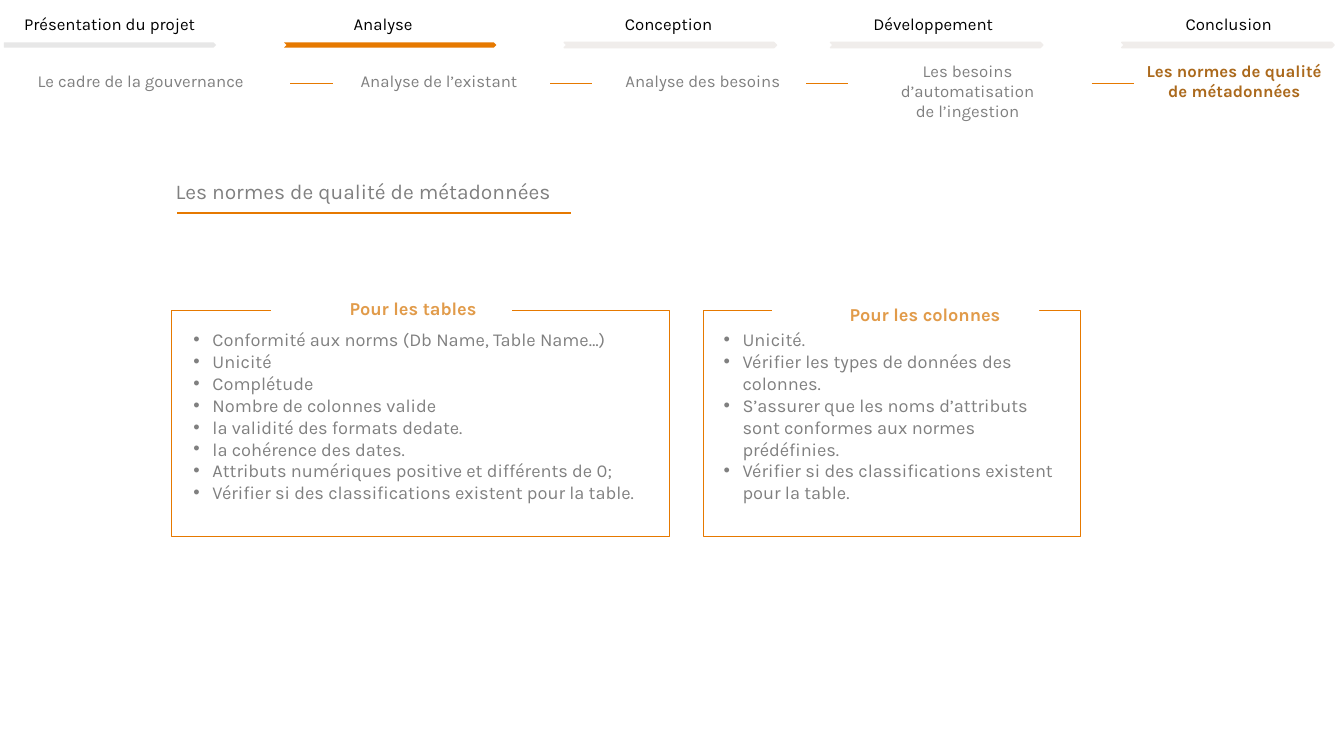
"""Build the slide on metadata quality standards."""
from dataclasses import dataclass

from lxml.etree import SubElement
from pptx import Presentation
from pptx.dml.color import RGBColor
from pptx.enum.shapes import MSO_CONNECTOR, MSO_SHAPE as Preset
from pptx.enum.text import MSO_ANCHOR as Anchor, MSO_AUTO_SIZE as AutoSize, PP_ALIGN as Align
from pptx.oxml.ns import qn
from pptx.util import Cm, Pt


@dataclass(frozen=True)
class Theme:
    font: str = "Karla"
    black: RGBColor = RGBColor(0x00, 0x00, 0x00)
    white: RGBColor = RGBColor(0xFF, 0xFF, 0xFF)
    grey: RGBColor = RGBColor(0x80, 0x80, 0x80)
    first_bar: RGBColor = RGBColor(0xE7, 0xE7, 0xE7)
    idle_bar: RGBColor = RGBColor(0xF0, 0xED, 0xEB)
    orange: RGBColor = RGBColor(0xE6, 0x79, 0x00)
    current: RGBColor = RGBColor(0xAB, 0x69, 0x1C)
    heading: RGBColor = RGBColor(0xE1, 0x9B, 0x4A)
    nav_size: Pt = Pt(12)
    body_size: Pt = Pt(13)
    title_size: Pt = Pt(15)


theme = Theme()


def write(shape, text, size, color, align=Align.CENTER, anchor=Anchor.TOP, bold=False, bullets=False):
    """Fill a shape with formatted paragraphs."""
    frame = shape.text_frame
    frame.text = text
    frame.word_wrap = True
    frame.auto_size = AutoSize.NONE
    frame.vertical_anchor = anchor
    for paragraph in frame.paragraphs:
        if bullets:
            properties = paragraph._p.get_or_add_pPr()
            properties.set("marL", str(Cm(0.48)))
            properties.set("indent", str(-Cm(0.48)))
            SubElement(properties, qn("a:buFont"), typeface="Arial")
            SubElement(properties, qn("a:buChar"), char="•")
        paragraph.alignment = align
        paragraph.space_before = Pt(0)
        for run in paragraph.runs:
            run.font.name = theme.font
            run.font.size = size
            run.font.bold = bold
            run.font.color.rgb = color


def draw_line(left, top, length, width):
    """Draw a horizontal orange line."""
    line = slide.shapes.add_connector(MSO_CONNECTOR.STRAIGHT, Cm(left), Cm(top), Cm(left + length), Cm(top))
    line.line.color.rgb = theme.orange
    line.line.width = Pt(width)
    SubElement(line._element.spPr, qn("a:effectLst"))


presentation = Presentation()
presentation.slide_width, presentation.slide_height = Cm(33.87), Cm(19.05)
slide = presentation.slides.add_slide(presentation.slide_layouts[3])
title, *lists = slide.placeholders

chapters = [
    ("Présentation du projet", 0.25, 5.03, 0.1, Preset.PENTAGON, theme.first_bar),
    ("Analyse", 7.14, 5.03, 7.16, Preset.CHEVRON, theme.orange),
    ("Conception", 13.69, 6.32, 14.22, Preset.CHEVRON, theme.idle_bar),
    ("Développement", 21.08, 4.88, 20.93, Preset.CHEVRON, theme.idle_bar),
    ("Conclusion", 28.45, 5.03, 28.27, Preset.CHEVRON, theme.idle_bar),
]
for name, left, width, bar_left, preset, color in chapters:
    bar = slide.shapes.add_shape(preset, Cm(bar_left), Cm(1.07), Cm(5.35), Cm(0.13))
    bar.shadow.inherit = False
    bar.fill.solid()
    bar.fill.fore_color.rgb = color
    if color == theme.idle_bar:
        bar.line.color.rgb = color
        bar.line.width = Pt(1)
    else:
        bar.line.fill.background()
    label = slide.shapes.add_textbox(Cm(left), Cm(0.23), Cm(width), Cm(0.76))
    write(label, name, theme.nav_size, theme.black)

for name, left, width in [
    ("Le cadre de la gouvernance", 0.25, 6.6),
    ("Analyse de l’existant", 8.03, 6.07),
    ("Analyse des besoins", 15.24, 4.95),
]:
    step = slide.shapes.add_shape(Preset.ROUNDED_RECTANGLE, Cm(left), Cm(1.68), Cm(width), Cm(0.71))
    step.shadow.inherit = False
    step.fill.background()
    step.line.fill.background()
    write(step, name, theme.nav_size, theme.grey, anchor=Anchor.MIDDLE)

for name, left, width, color, bold in [
    ("Les besoins\vd’automatisation\nde l’ingestion", 21.36, 6.05, theme.grey, False),
    ("Les normes de qualité\nde métadonnées", 28.58, 5.05, theme.current, True),
]:
    step = slide.shapes.add_textbox(Cm(left), Cm(1.41), Cm(width), Cm(1.27))
    write(step, name, theme.nav_size, color, bold=bold)

for left in (7.32, 13.87, 20.32, 27.51):
    draw_line(left, 2.11, 1.06, 0.5)

title.left, title.top, title.width, title.height = Cm(4.17), Cm(4.37), Cm(12.67), Cm(0.89)
write(title, "Les normes de qualité de métadonnées", theme.title_size, theme.grey, Align.LEFT)
draw_line(4.47, 5.36, 9.91, 1.5)

panels = [
    ("Pour les tables", (4.32, 12.55), (4.62, 12.24), (6.86, 7.29), (8.56, 7.37, 4.34), [
        "Conformité aux norms (Db Name, Table Name…)",
        "Unicité",
        "Complétude",
        "Nombre de colonnes valide",
        "la validité des formats dedate.",
        "la cohérence des dates.",
        "Attributs numériques positive et différents de 0;",
        "Vérifier si des classifications existent pour la table.",
    ]),
    ("Pour les colonnes", (17.73, 9.5), (17.98, 9.02), (19.48, 7.44), (21.16, 7.52, 5.03), [
        "Unicité.",
        "Vérifier les types de données des colonnes.",
        "S’assurer que les noms d’attributs sont conformes aux normes prédéfinies.",
        "Vérifier si des classifications existent pour la table.",
    ]),
]
for body, (heading, frame_span, list_span, gap_at, heading_at, rules) in zip(lists, panels):
    frame = slide.shapes.add_shape(Preset.RECTANGLE, Cm(frame_span[0]), Cm(7.82), Cm(frame_span[1]), Cm(5.69))
    frame.shadow.inherit = False
    frame.fill.background()
    frame.line.color.rgb = theme.orange
    frame.line.width = Pt(0.75)

    body.left, body.top, body.width, body.height = Cm(list_span[0]), Cm(8.15), Cm(list_span[1]), Cm(4.7)
    write(body, "\n".join(rules), theme.body_size, theme.grey, Align.LEFT, bullets=True)

    gap = slide.shapes.add_shape(Preset.RECTANGLE, Cm(gap_at[0]), Cm(gap_at[1]), Cm(5.89), Cm(0.86))
    gap.line.color.rgb = theme.white
    gap.line.width = Pt(1)
    left, top, width = heading_at
    label = slide.shapes.add_shape(Preset.RECTANGLE, Cm(left), Cm(top), Cm(width), Cm(0.81))
    label.line.fill.background()
    for cover in (gap, label):
        cover.shadow.inherit = False
        cover.fill.solid()
        cover.fill.fore_color.rgb = theme.white
    write(label, heading, theme.body_size, theme.heading, Align.LEFT, bold=True)

presentation.save("out.pptx")
